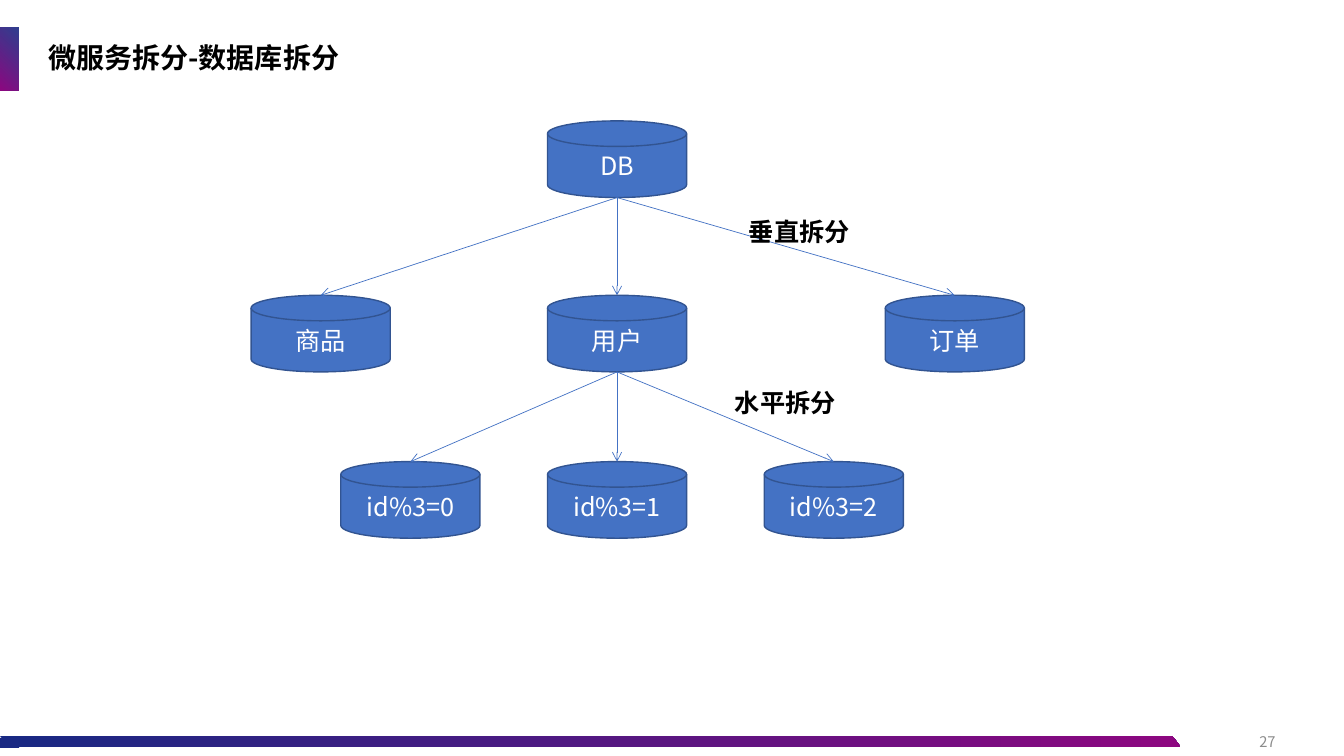
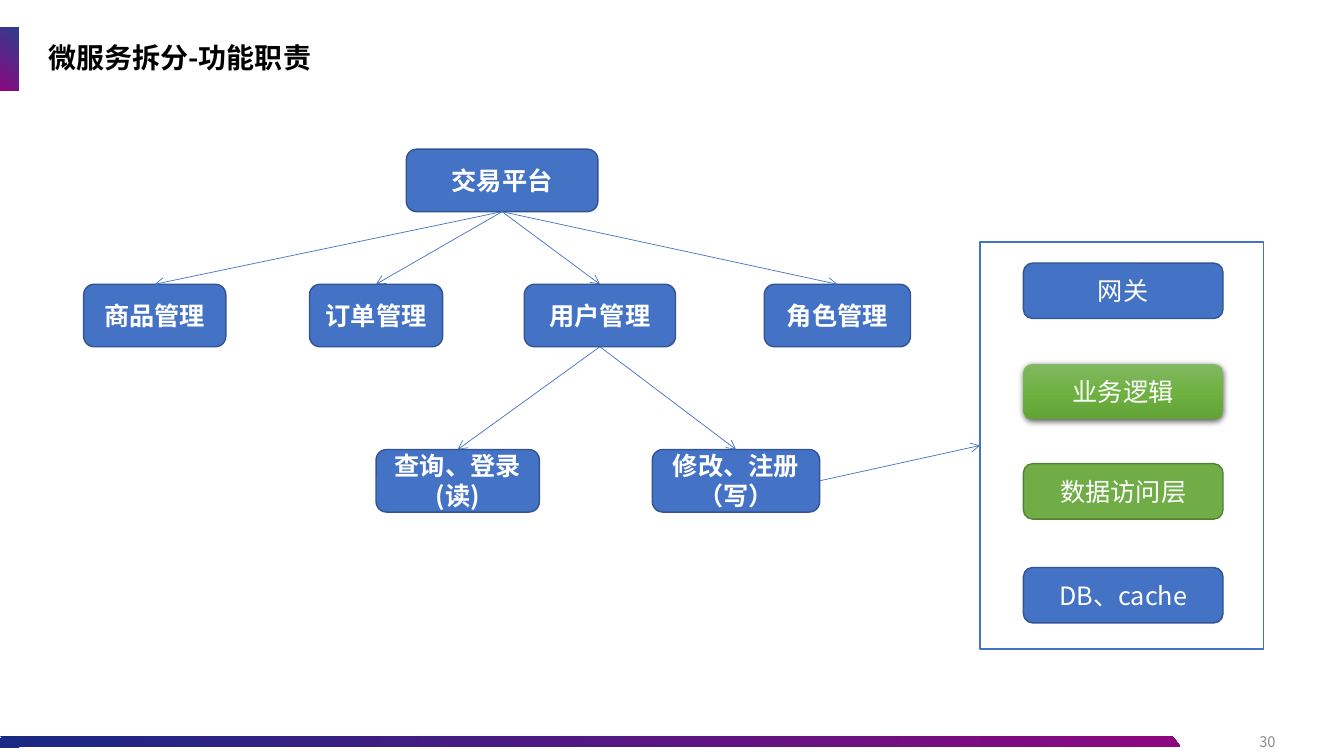
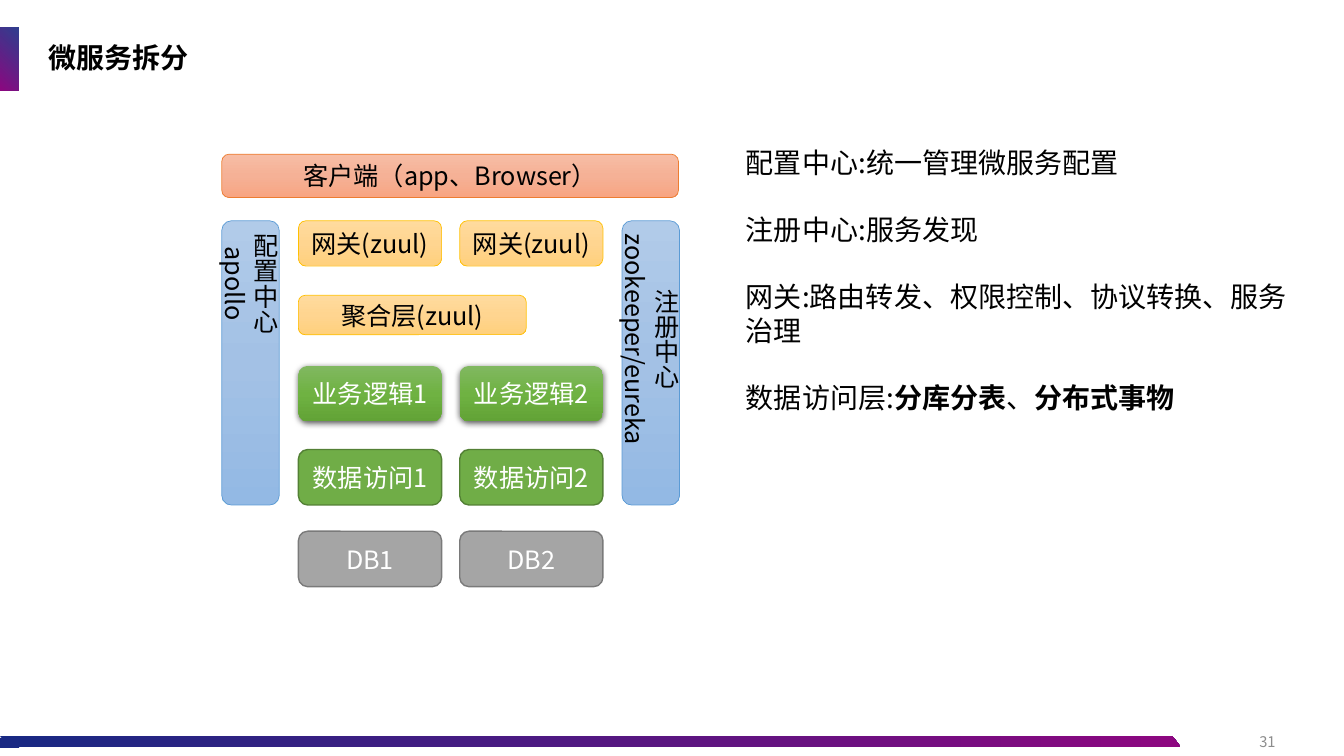
from lxml.etree import SubElement
from pptx import Presentation
from pptx.dml.color import RGBColor
from pptx.enum.shapes import MSO_CONNECTOR, MSO_SHAPE
from pptx.enum.text import MSO_ANCHOR, PP_ALIGN
from pptx.oxml.ns import qn
from pptx.util import Inches, Pt

# Theme
WIDTH, HEIGHT = 13.33, 7.5
FONT = "Noto Sans CJK SC"
BLACK = RGBColor(0x00, 0x00, 0x00)
WHITE = RGBColor(0xFF, 0xFF, 0xFF)
GREY_TEXT = RGBColor(0x8C, 0x8C, 0x8C)
NAVY = RGBColor(0x18, 0x29, 0x83)
NAVY_END = RGBColor(0x1A, 0x29, 0x83)
PURPLE = RGBColor(0x8D, 0x07, 0x80)
BLUE = RGBColor(0x44, 0x72, 0xC4)
BLUE_EDGE = RGBColor(0x32, 0x54, 0x91)
GREEN = RGBColor(0x70, 0xAD, 0x47)
GREEN_EDGE = RGBColor(0x53, 0x80, 0x35)
GREY = RGBColor(0xA5, 0xA5, 0xA5)
GREY_EDGE = RGBColor(0x7A, 0x7A, 0x7A)
GOLD_EDGE = RGBColor(0xFF, 0xC0, 0x00)
ORANGE_EDGE = RGBColor(0xED, 0x7D, 0x31)
SKY_EDGE = RGBColor(0x5B, 0x9B, 0xD5)
LEAF_STOPS = (RGBColor(0x81, 0xB8, 0x61), RGBColor(0x6F, 0xB2, 0x42), RGBColor(0x62, 0xA3, 0x36))
GOLD_STOPS = (RGBColor(0xFF, 0xDB, 0x9E), RGBColor(0xFF, 0xD5, 0x90), RGBColor(0xFF, 0xD0, 0x7C))
ORANGE_STOPS = (RGBColor(0xF7, 0xBD, 0xA5), RGBColor(0xF5, 0xB1, 0x96), RGBColor(0xF8, 0xA5, 0x82))
SKY_STOPS = (RGBColor(0xB1, 0xCB, 0xE9), RGBColor(0xA3, 0xC1, 0xE5), RGBColor(0x93, 0xB9, 0xE4))

# Box styles: fill (colour or gradient stops), edge, edge width, text colour
STYLES = {
    "blue": (BLUE, BLUE_EDGE, 1, WHITE),
    "green": (GREEN, GREEN_EDGE, 1, WHITE),
    "leaf": (LEAF_STOPS, None, 0, WHITE),
    "grey": (GREY, GREY_EDGE, 1, WHITE),
    "gold": (GOLD_STOPS, GOLD_EDGE, 0.5, BLACK),
    "orange": (ORANGE_STOPS, ORANGE_EDGE, 0.5, BLACK),
    "sky": (SKY_STOPS, SKY_EDGE, 0.5, BLACK),
    "frame": (WHITE, BLUE, 1, BLACK),
}
TOP, LEFT, BOTTOM, RIGHT = range(4)

# Slide 1: database split
DISK_W, DISK_H = 1.38, 0.76
DISK_ROWS = [
    (1.2, [("DB", 5.43)]),
    (2.93, [("商品", 2.49), ("用户", 5.43), ("订单", 8.78)]),
    (4.58, [("id%3=0", 3.38), ("id%3=1", 5.43), ("id%3=2", 7.58)]),
]
DISK_LINKS = [("DB", ["商品", "用户", "订单"]), ("用户", ["id%3=0", "id%3=1", "id%3=2"])]
SPLIT_LABELS = [("水平拆分", 7.19, 3.79), ("垂直拆分", 7.33, 2.1)]

# Slide 2: responsibilities, as rows of (text, left, width)
BOX_H = 0.62
BOX_ROWS = [
    (1.48, [("交易平台", 4.03, 1.9)]),
    (2.82, [("商品管理", 0.83, 1.41), ("订单管理", 3.07, 1.32),
            ("用户管理", 5.2, 1.5), ("角色管理", 7.58, 1.45)]),
    (4.46, [("查询、登录(读)", 3.73, 1.62), ("修改、注册（写）", 6.47, 1.66)]),
]
BOX_LINKS = [("交易平台", ["商品管理", "订单管理", "用户管理", "角色管理"]),
             ("用户管理", ["查询、登录(读)", "修改、注册（写）"])]
PANEL = (9.72, 2.4, 2.81, 4.04)
LAYERS = [("网关", 2.61, "blue"), ("业务逻辑", 3.61, "leaf"),
          ("数据访问层", 4.6, "green"), ("DB、cache", 5.63, "blue")]

# Slide 3: architecture
CELL_X, CELL_STEP, CELL_W = 2.96, 1.6, 1.42
PAIRS = [(("网关(zuul)", "网关(zuul)"), 2.19, 0.45, "gold"),
         (("业务逻辑1", "业务逻辑2"), 3.63, 0.55, "leaf"),
         (("数据访问1", "数据访问2"), 4.46, 0.55, "green"),
         (("DB1", "DB2"), 5.27, 0.55, "grey")]
WIDE_BOXES = [("聚合层(zuul)", (2.96, 2.93, 2.26, 0.39), "gold"),
              ("客户端（app、Browser）", (2.2, 1.53, 4.53, 0.43), "orange")]
SIDE_BARS = [(("配置中心", "apollo"), 2.2), (("注册中心", "zookeeper/eureka"), 6.17)]
# Each note is a list of (text, bold) runs
NOTES = [
    [("配置中心:统一管理微服务配置", False)],
    [("注册中心:服务发现", False)],
    [("网关:路由转发、权限控制、协议转换、服务治理", False)],
    [("数据访问层:", False), ("分库分表", True), ("、", False), ("分布式事物", True)],
]


def inches(*lengths):
    return [Inches(v) for v in lengths]


def style_paragraph(p, size, color, bold=None, align=None):
    p.alignment = align
    f = p.font
    f.name, f.size, f.bold = FONT, Pt(size), bold
    f.color.rgb = color
    props = p._p.pPr.find(qn("a:defRPr"))
    SubElement(props, qn("a:ea")).set("typeface", FONT)


def set_gradient(s, colors, angle, first_alpha=None):
    s.fill.gradient()
    s.fill.gradient_angle = 360 - angle
    stops = s._element.spPr.find(".//" + qn("a:gsLst"))
    for old in list(stops):
        stops.remove(old)
    for i, color in enumerate(colors):
        gs = SubElement(stops, qn("a:gs"), pos=str(100000 * i // (len(colors) - 1)))
        rgb = SubElement(gs, qn("a:srgbClr"), val=str(color))
        if i == 0 and first_alpha:
            SubElement(rgb, qn("a:alpha"), val=str(first_alpha * 1000))


def add_soft_shadow(s):
    effects = s._element.spPr.find(qn("a:effectLst"))
    shadow = SubElement(effects, qn("a:outerShdw"), blurRad=str(Pt(4.5)), dist=str(Pt(1.5)),
                        dir="5400000", algn="ctr", rotWithShape="0")
    rgb = SubElement(shadow, qn("a:srgbClr"), val=str(BLACK))
    SubElement(rgb, qn("a:alpha"), val="63000")


def add_plain(slide, kind, at):
    s = slide.shapes.add_shape(kind, *inches(*at))
    s.shadow.inherit = False
    s.line.fill.background()
    return s


def add_box(slide, lines, at, style, bold=None, kind=MSO_SHAPE.ROUNDED_RECTANGLE):
    fill, edge, edge_width, color = STYLES[style]
    s = add_plain(slide, kind, at)
    if isinstance(fill, RGBColor):
        s.fill.solid()
        s.fill.fore_color.rgb = fill
    else:
        set_gradient(s, fill, 90)
    if edge:
        s.line.color.rgb = edge
        s.line.width = Pt(edge_width)
    else:
        add_soft_shadow(s)
    tf = s.text_frame
    tf.word_wrap = True
    tf.vertical_anchor = MSO_ANCHOR.MIDDLE
    for i, line in enumerate(lines):
        p = tf.add_paragraph() if i else tf.paragraphs[0]
        p.text = line
        style_paragraph(p, 18, color, bold, PP_ALIGN.CENTER)
    return s


def add_text(slide, text, at, size, color, bold=None, align=None, wrap=True, anchor=MSO_ANCHOR.TOP):
    tf = slide.shapes.add_textbox(*inches(*at)).text_frame
    tf.word_wrap = wrap
    tf.vertical_anchor = anchor
    p = tf.paragraphs[0]
    p.text = text
    style_paragraph(p, size, color, bold, align)
    return p


def add_arrow(slide, start, end, start_side=BOTTOM, end_side=TOP, site_shift=0):
    c = slide.shapes.add_connector(MSO_CONNECTOR.STRAIGHT, 0, 0, 0, 0)
    c.begin_connect(start, start_side)
    c.end_connect(end, end_side)
    for site in c._element.iter(qn("a:stCxn"), qn("a:endCxn")):
        site.set("idx", str(int(site.get("idx")) + site_shift))
    c.line.color.rgb = BLUE
    c.line.width = Pt(0.5)
    SubElement(c.line._get_or_add_ln(), qn("a:tailEnd"), type="arrow")
    SubElement(c._element.spPr, qn("a:effectLst"))


def add_links(slide, shapes, links, site_shift=0):
    for parent, children in links:
        for child in children:
            add_arrow(slide, shapes[parent], shapes[child], site_shift=site_shift)


def new_slide(prs, title, number):
    slide = prs.slides.add_slide(prs.slide_layouts[6])
    # Title accent, footer band and its left end
    set_gradient(add_plain(slide, MSO_SHAPE.RECTANGLE, (0, 0.27, 0.18, 0.63)), (NAVY, PURPLE), 135, 90)
    band = add_plain(slide, MSO_SHAPE.PARALLELOGRAM, (0, 7.3, 11.71, 0.11))
    band.adjustments[0] = 0.775
    band._element.spPr.xfrm.set("flipH", "1")
    set_gradient(band, (NAVY, PURPLE), 180)
    band_end = add_plain(slide, MSO_SHAPE.RECTANGLE, (0, 7.32, 0.19, 0.1))
    band_end.fill.solid()
    band_end.fill.fore_color.rgb = NAVY_END
    # Page number and title
    add_text(slide, str(number), (9.75, 7.16, 3, 0.4), 10.5, GREY_TEXT,
             align=PP_ALIGN.RIGHT, anchor=MSO_ANCHOR.MIDDLE)
    p = add_text(slide, title, (0.38, 0.27, 11.1, 0.63), 20, BLACK, True, anchor=MSO_ANCHOR.MIDDLE)
    p.line_spacing = 0.9
    return slide


def database_slide(prs):
    slide = new_slide(prs, "微服务拆分-数据库拆分", 27)
    disks = {text: add_box(slide, [text], (x, y, DISK_W, DISK_H), "blue",
                           kind=MSO_SHAPE.FLOWCHART_MAGNETIC_DISK)
             for y, row in DISK_ROWS for text, x in row}
    # A disk has one extra connection site before its top
    add_links(slide, disks, DISK_LINKS, site_shift=1)
    for text, x, y in SPLIT_LABELS:
        add_text(slide, text, (x, y, 1.21, 0.4), 18, BLACK, True, wrap=False)


def duties_slide(prs):
    slide = new_slide(prs, "微服务拆分-功能职责", 30)
    boxes = {text: add_box(slide, [text], (x, y, w, BOX_H), "blue", True)
             for y, row in BOX_ROWS for text, x, w in row}
    add_links(slide, boxes, BOX_LINKS)
    # Layers inside one service
    panel = add_box(slide, [], PANEL, "frame", kind=MSO_SHAPE.RECTANGLE)
    for text, y, style in LAYERS:
        add_box(slide, [text], (10.15, y, 1.98, 0.55), style)
    add_arrow(slide, boxes["修改、注册（写）"], panel, RIGHT, LEFT)


def architecture_slide(prs):
    slide = new_slide(prs, "微服务拆分", 31)
    for texts, y, h, style in PAIRS:
        for i, text in enumerate(texts):
            add_box(slide, [text], (CELL_X + i * CELL_STEP, y, CELL_W, h), style)
    for text, at, style in WIDE_BOXES:
        add_box(slide, [text], at, style)
    for lines, x in SIDE_BARS:
        bar = add_box(slide, lines, (x, 2.19, 0.57, 2.82), "sky")
        bar.text_frame._txBody.bodyPr.set("vert", "eaVert")
    # Explanations
    tf = slide.shapes.add_textbox(*inches(7.3, 1.39, 5.65, 2.79)).text_frame
    tf.word_wrap = True
    for i, runs in enumerate(NOTES):
        p = tf.add_paragraph() if i else tf.paragraphs[0]
        style_paragraph(p, 20, BLACK)
        if i:
            p.space_before = Pt(24)
        for text, bold in runs:
            r = p.add_run()
            r.text = text
            if bold:
                r.font.bold = True


def main():
    prs = Presentation()
    prs.slide_width, prs.slide_height = inches(WIDTH, HEIGHT)
    database_slide(prs)
    duties_slide(prs)
    architecture_slide(prs)
    prs.save("out.pptx")


if __name__ == "__main__":
    main()
